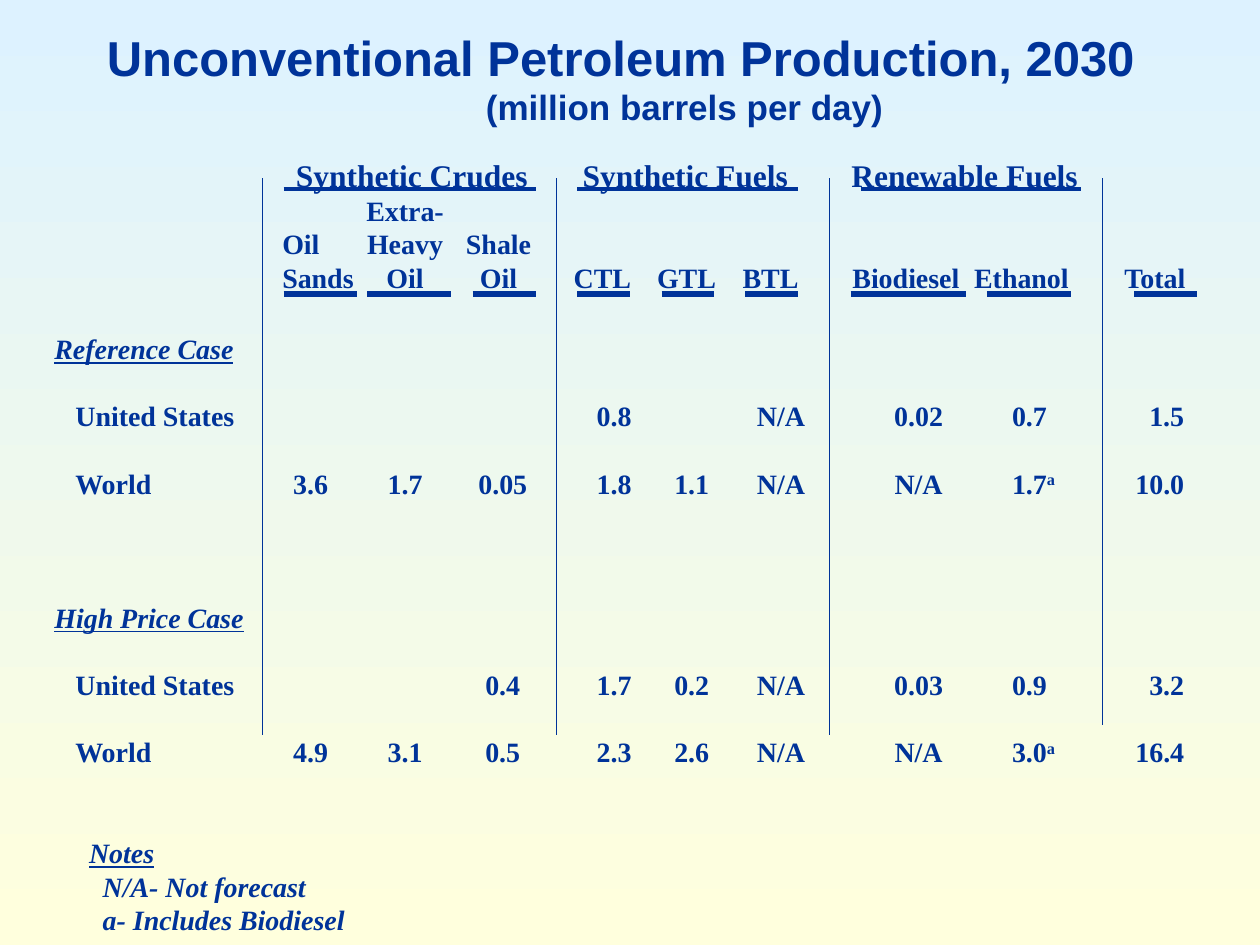
from dataclasses import dataclass

from lxml import etree
from pptx import Presentation
from pptx.dml.color import RGBColor
from pptx.enum.shapes import MSO_CONNECTOR
from pptx.oxml.ns import qn
from pptx.util import Emu, Pt

STRAIGHT = MSO_CONNECTOR.STRAIGHT
SCALE = 7620  # EMU per px, 120 px to the inch
NAVY = "003399"
SERIF, SANS = "Times New Roman", "Arial"
INSET = 12


@dataclass(frozen=True)
class Cell:
    text: str
    x: int  # from the slide's left edge
    align: str = "ctr"
    sup: str = ""


@dataclass(frozen=True)
class Rule:
    x1: int
    y1: int
    x2: int
    y2: int
    weight: float


def px(n: int) -> Emu:
    return Emu(n * SCALE)


def rgb(color: str) -> RGBColor:
    return RGBColor.from_string(color)


def add_box(slide, x: int, y: int, w: int, h: int):
    tf = slide.shapes.add_textbox(px(x), px(y), px(w), px(h)).text_frame
    tf.word_wrap = True
    return tf


def add_line(tf, text: str = "", *, cells: tuple[Cell, ...] = (), left: int = 0,
             indent: int = 0, size: int = 16, font: str = SERIF, italic: bool = False,
             underline: bool = False, before: float = 0, height: float = 0) -> None:
    """Write one paragraph; each cell stands at its own tab stop."""
    first = tf.paragraphs[0]
    p = tf.add_paragraph() if first.runs else first
    pPr = p._p.get_or_add_pPr()
    if indent:
        pPr.set("marL", str(px(indent)))
        pPr.set("indent", "0")
    if cells:
        tabs = etree.SubElement(pPr, qn("a:tabLst"))
        for cell in cells:
            etree.SubElement(tabs, qn("a:tab"), pos=str(px(cell.x - left)), algn=cell.align)
    if before:
        p.space_before = Pt(before)
    if height:
        p.line_spacing = Pt(height)

    pieces = [(text, False)] if text else []
    for cell in cells:
        pieces.append(("\t" + cell.text, False))
        if cell.sup:
            pieces.append((cell.sup, True))
    for piece, raised in pieces:
        r = p.add_run()
        r.text = piece
        r.font.name, r.font.size, r.font.bold = font, Pt(size), True
        r.font.italic, r.font.underline = italic, underline
        r.font.color.rgb = rgb(NAVY)
        if raised:
            r._r.get_or_add_rPr().set("baseline", "30000")


def add_rule(slide, rule: Rule) -> None:
    s = slide.shapes.add_connector(STRAIGHT, px(rule.x1), px(rule.y1), px(rule.x2), px(rule.y2))
    s.line.color.rgb = rgb(NAVY)
    s.line.width = Pt(rule.weight)
    etree.SubElement(s._element.spPr, qn("a:effectLst"))


# Column stops: sands, heavy oil, shale, CTL, GTL, BTL, biodiesel, ethanol, total
HEAD_STOPS = (269, 386, 475, 574, 654, 734, 863, 973, 1100)
HEAD_ALIGN = ("l",) + ("ctr",) * 8
BODY_STOPS = (296, 386, 479, 585, 659, 744, 875, 964, 1128)
BODY_ALIGN = ("ctr",) * 7 + ("l", "r")


def make_cells(texts, stops, aligns) -> tuple[Cell, ...]:
    """Place texts in their columns, leaving out the empty ones."""
    return tuple(Cell(t.rstrip("a"), x, a, "a") if t.endswith("a") else Cell(t, x, a)
                 for t, x, a in zip(texts, stops, aligns) if t)


HEADINGS = (
    ("", "Extra-"),
    ("Oil", "Heavy", "Shale"),
    ("Sands", "Oil", "Oil", "CTL", "GTL", "BTL", "Biodiesel", "Ethanol", "Total"),
)
CASES = (
    ("Reference Case", (
        ("United States", ("", "", "", "0.8", "", "N/A", "0.02", "0.7", "1.5")),
        ("World", ("3.6", "1.7", "0.05", "1.8", "1.1", "N/A", "N/A", "1.7a", "10.0")))),
    ("High Price Case", (
        ("United States", ("", "", "0.4", "1.7", "0.2", "N/A", "0.03", "0.9", "3.2")),
        ("World", ("4.9", "3.1", "0.5", "2.3", "2.6", "N/A", "N/A", "3.0a", "16.4")))),
)
GROUP_SPANS = ((270, 510), (550, 760), (820, 1030))
COLUMN_SPANS = ((270, 340), (350, 430), (450, 510), (550, 600), (630, 680), (710, 760),
                (810, 920), (940, 1020), (1080, 1140))
DIVIDERS = ((250, 700), (530, 700), (790, 700), (1050, 690))  # x, bottom


def main() -> None:
    prs = Presentation()
    prs.slide_width, prs.slide_height = px(1200), px(900)
    slide = prs.slides.add_slide(prs.slide_layouts[6])

    # Background, top to bottom
    fill = slide.background.fill
    fill.gradient()
    fill.gradient_angle = 270
    for stop, color in zip(fill.gradient_stops, ("DDF2FF", "FFFFDD")):
        stop.color.rgb = rgb(color)

    # Title
    tf = add_box(slide, 90, 20, 1030, 108)
    add_line(tf, "Unconventional Petroleum Production, 2030", size=28, font=SANS)
    add_line(tf, "(million barrels per day)", size=20, font=SANS, indent=361)

    # Column headings
    tf = add_box(slide, 170, 140, 1000, 149)
    left = 170 + INSET
    groups = (Cell("Synthetic Crudes", 282, "l"), Cell("Synthetic Fuels", 555, "l"),
              Cell("Renewable Fuels", 811, "l"))
    add_line(tf, cells=groups, left=left, size=18, height=23)
    for texts in HEADINGS:
        add_line(tf, cells=make_cells(texts, HEAD_STOPS, HEAD_ALIGN), left=left, height=19.2)

    # Figures for each case
    tf = add_box(slide, 40, 310, 1120, 620)
    left = 40 + INSET
    for i, (case, rows) in enumerate(CASES):
        add_line(tf, case, italic=True, underline=True, height=19.2, before=57.6 * i)
        for label, values in rows:
            cells = (Cell(label, 72, "l"),) + make_cells(values, BODY_STOPS, BODY_ALIGN)
            add_line(tf, cells=cells, left=left, height=19.2, before=19.2)

    # Notes
    add_line(tf, "Notes", indent=33, italic=True, underline=True, height=19.2, before=38.4)
    for note in ("N/A- Not forecast", "a- Includes Biodiesel"):
        add_line(tf, note, indent=46, italic=True, height=19.2)

    # Heading underlines and column dividers
    rules = [Rule(a, 180, b, 180, 2.25) for a, b in GROUP_SPANS]
    rules += [Rule(a, 280, b, 280, 3) for a, b in COLUMN_SPANS]
    rules += [Rule(x, 170, x, bottom, 0.75) for x, bottom in DIVIDERS]
    for rule in rules:
        add_rule(slide, rule)

    prs.save("out.pptx")


if __name__ == "__main__":
    main()
